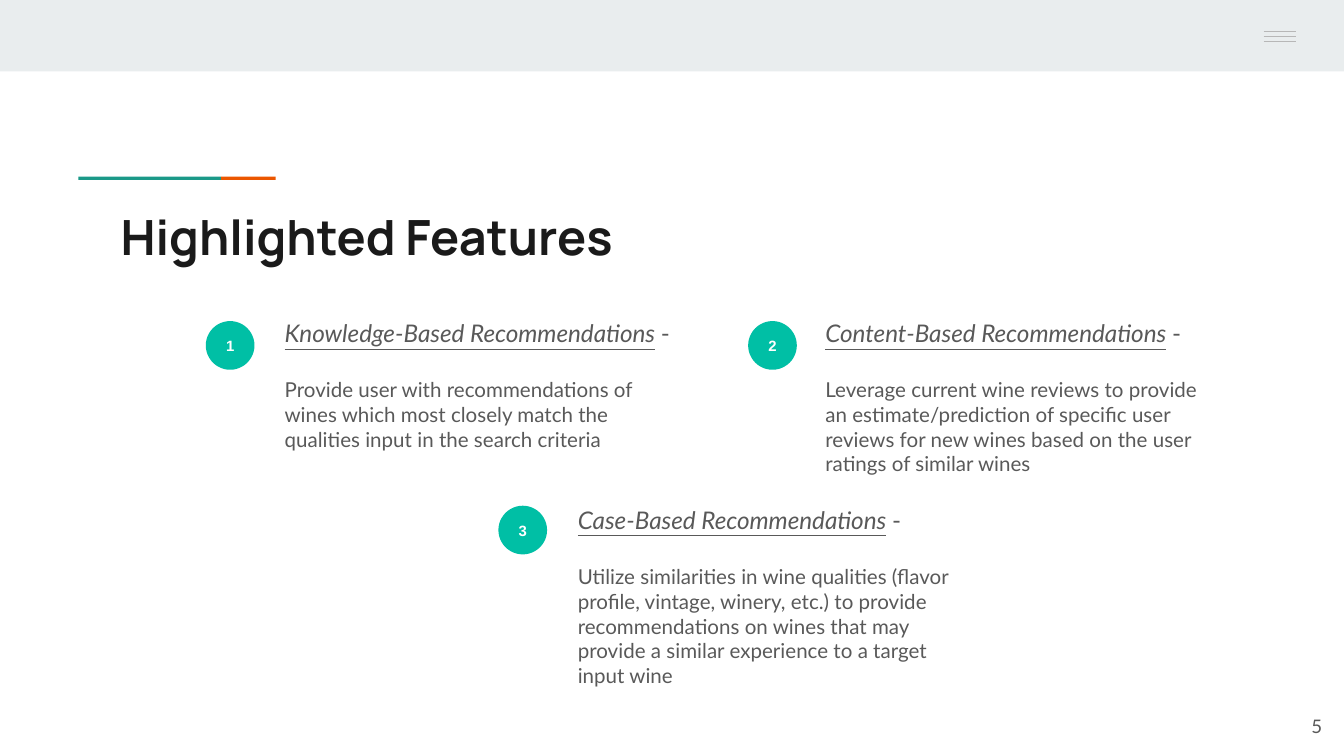
from lxml import etree
from pptx import Presentation
from pptx import util as u
from pptx.dml.color import RGBColor
from pptx.enum import shapes, text
from pptx.oxml.ns import qn

INK, BODY, WHITE = "1A1A1A", "595959", "FFFFFF"
BAND, RULE = "E9EDEE", "B7B7B7"
TEAL, ORANGE, BADGE = "1A9988", "EB5600", "00BFA5"

# number, badge left and top, text left and top, text height, heading, description
FEATURES = [
    ("1", 3.89, 6.07, 5.13, 5.77, 2.92, "Knowledge-Based Recommendations",
     "Provide user with recommendations of wines which most closely match "
     "the qualities input in the search criteria"),
    ("2", 14.14, 6.07, 15.35, 5.77, 3.43, "Content-Based Recommendations",
     "Leverage current wine reviews to provide an estimate/prediction of specific "
     "user reviews for new wines based on the user ratings of similar wines"),
    ("3", 9.42, 9.56, 10.67, 9.3, 2.92, "Case-Based Recommendations",
     "Utilize similarities in wine qualities (flavor profile, vintage, winery, etc.) "
     "to provide recommendations on wines that may provide a similar experience "
     "to a target input wine"),
]


def color(value):
    """Turn a hex string into a colour."""
    return RGBColor.from_string(value)


def box(*lengths):
    """Turn left, top, width and height in centimetres into lengths."""
    return [u.Cm(length) for length in lengths]


def add_run(paragraph, words, size=11, font="Lato", fill=BODY,
            bold=False, italic=False, underline=False):
    """Append formatted text to a paragraph."""
    run = paragraph.add_run()
    run.text = words
    run.font.size = u.Pt(size)
    run.font.name = font
    run.font.color.rgb = color(fill)
    run.font.bold, run.font.italic, run.font.underline = bold, italic, underline


def prepare_frame(shape, align=text.PP_ALIGN.LEFT, anchor=text.MSO_ANCHOR.TOP):
    """Set wrapping, margins and alignment and return the first paragraph."""
    frame = shape.text_frame
    frame.auto_size = text.MSO_AUTO_SIZE.NONE
    frame.word_wrap = True
    frame.vertical_anchor = anchor
    frame.margin_left = frame.margin_right = u.Cm(0.25)
    frame.margin_top = frame.margin_bottom = u.Cm(0.25)
    paragraph = frame.paragraphs[0]
    paragraph.alignment = align
    return paragraph


def add_block(slide, kind, lengths, fill):
    """Add a plain filled shape without outline."""
    block = slide.shapes.add_shape(kind, *box(*lengths))
    block.shadow.inherit = False
    block.fill.solid()
    block.fill.fore_color.rgb = color(fill)
    block.line.fill.background()
    return block


def add_rule(slide, left, right, top):
    """Add a thin horizontal line."""
    rule = slide.shapes.add_connector(
        shapes.MSO_CONNECTOR.STRAIGHT, *box(left, top, right, top))
    rule.line.color.rgb = color(RULE)
    rule.line.width = u.Pt(0.75)
    etree.SubElement(rule._element.spPr, qn("a:effectLst"))


def add_header(slide):
    """Draw the top band, the menu lines and the two-coloured accent."""
    rectangle = shapes.MSO_SHAPE.RECTANGLE
    add_block(slide, rectangle, (0, 0, 25.4, 1.35), BAND)
    add_block(slide, rectangle, (23.01, 0, 2.39, 1.27), BAND)
    for index in range(3):
        add_rule(slide, 23.88, 24.49, 0.59 + index * 0.095)
    add_block(slide, rectangle, (1.48, 3.34, 2.7, 0.06), TEAL)
    add_block(slide, rectangle, (4.18, 3.34, 1.03, 0.06), ORANGE)


def add_title(slide, words):
    """Place and format the title."""
    title = slide.shapes.title
    title.left, title.top, title.width, title.height = box(2.03, 3.66, 21.36, 1.5)
    add_run(prepare_frame(title), words, size=26, font="Manrope", fill=INK, bold=True)


def add_feature(slide, number, badge_left, badge_top, left, top, height,
                heading, description):
    """Add a numbered badge with its heading and description."""
    badge = add_block(slide, shapes.MSO_SHAPE.OVAL,
                      (badge_left, badge_top, 0.92, 0.92), BADGE)
    label = prepare_frame(badge, text.PP_ALIGN.CENTER, text.MSO_ANCHOR.MIDDLE)
    add_run(label, number, size=8, font="Arial", fill=WHITE, bold=True)

    feature = slide.shapes.add_textbox(*box(left, top, 7.87, height))
    headline = prepare_frame(feature)
    add_run(headline, heading, size=13, italic=True, underline=True)
    add_run(headline, " -", size=13)
    details = feature.text_frame.add_paragraph()
    details.space_before = u.Pt(16)
    add_run(details, description)


def add_page_number(slide, number):
    """Add the page number at the lower right."""
    page = slide.shapes.add_textbox(*box(23.72, 13.18, 1.52, 1.09))
    add_run(prepare_frame(page, text.PP_ALIGN.RIGHT, text.MSO_ANCHOR.MIDDLE),
            number, size=10)


def main():
    """Build and save the slide."""
    deck = Presentation()
    deck.slide_width, deck.slide_height = u.Cm(25.4), u.Cm(14.29)
    slide = deck.slides.add_slide(deck.slide_layouts[5])
    add_header(slide)
    add_title(slide, "Highlighted Features")
    for feature in FEATURES:
        add_feature(slide, *feature)
    add_page_number(slide, "5")
    deck.save("out.pptx")


if __name__ == "__main__":
    main()
